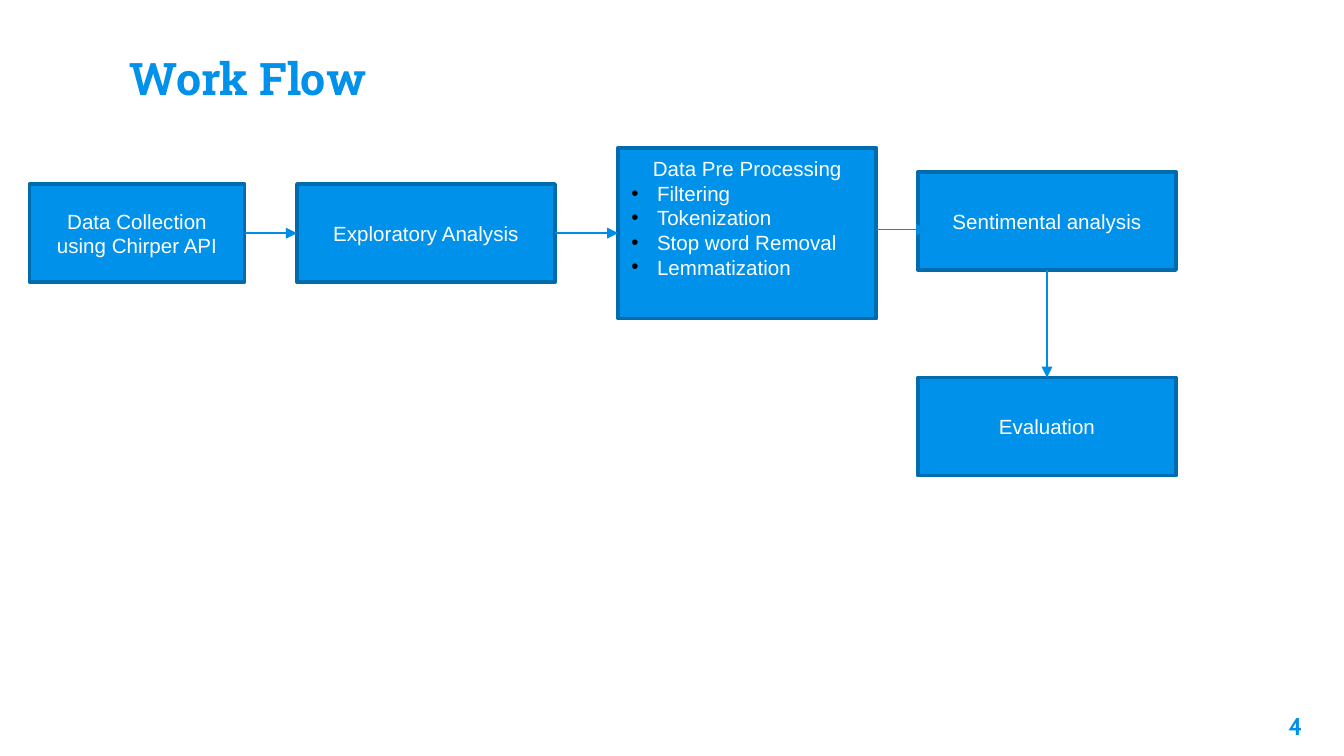
"""Build the work flow slide."""
import pptx
import pptx.dml.color
import pptx.enum.shapes
import pptx.enum.text
import pptx.oxml.ns
import pptx.util
from lxml import etree

Inches, Pt = pptx.util.Inches, pptx.util.Pt
ALIGN = pptx.enum.text.PP_ALIGN
ANCHOR = pptx.enum.text.MSO_ANCHOR
qn = pptx.oxml.ns.qn

COLORS = {"blue": "0091EA", "edge": "006BAD", "arrow": "008EE5",
          "white": "FFFFFF", "dot": "000000"}
TITLE = "Work Flow"
NUMBER = "4"
STEPS = [
    ("Data Collection using Chirper API", [], (0.22, 1.37, 1.6, 0.73)),
    ("Exploratory Analysis", [], (2.21, 1.37, 1.92, 0.73)),
    ("Data Pre Processing",
     ["Filtering", "Tokenization", "Stop word Removal", "Lemmatization"],
     (4.6, 1.1, 1.92, 1.27)),
    ("Sentimental analysis", [], (6.83, 1.28, 1.92, 0.73)),
    ("Evaluation", [], (6.83, 2.81, 1.92, 0.73)),
]
JOINS = [(0, 3, 1, 1), (1, 3, 2, 1), (3, 2, 4, 0)]
LOOSE = (6.52, 1.71, 6.9, 1.71)


def rgb(name):
    return pptx.dml.color.RGBColor.from_string(COLORS[name])


def style(para, face, size, color, align, bold=False):
    para.alignment = align
    font = para.font
    font.name, font.size, font.bold = face, Pt(size), bold
    font.color.rgb = rgb(color)


def place(shape, box):
    shape.left, shape.top, shape.width, shape.height = map(Inches, box)


def pad(frame, anchor):
    frame.word_wrap = True
    frame.auto_size = pptx.enum.text.MSO_AUTO_SIZE.NONE
    frame.vertical_anchor = anchor
    frame.margin_left = frame.margin_right = Inches(0.1)
    frame.margin_top = frame.margin_bottom = Inches(0.1)


def bullet(para):
    props = para._p.get_or_add_pPr()
    props.set("marL", str(Inches(0.19)))
    props.set("indent", str(-Inches(0.19)))
    tint = etree.SubElement(props, qn("a:buClr"))
    etree.SubElement(tint, qn("a:srgbClr"), val=COLORS["dot"])
    etree.SubElement(props, qn("a:buFont"), typeface="Arial")
    etree.SubElement(props, qn("a:buChar"), char="•")


def add_step(slide, head, items, box):
    rect = slide.shapes.add_shape(
        pptx.enum.shapes.MSO_SHAPE.RECTANGLE, *map(Inches, box))
    rect.shadow.inherit = False
    rect.fill.solid()
    rect.fill.fore_color.rgb = rgb("blue")
    rect.line.color.rgb = rgb("edge")
    rect.line.width = Pt(2)
    frame = rect.text_frame
    frame.word_wrap = True
    frame.vertical_anchor = ANCHOR.MIDDLE
    if items:
        frame.margin_bottom = Inches(0.28)
    para = frame.paragraphs[0]
    para.text = head
    style(para, "Arial", 11, "white", ALIGN.CENTER)
    for item in items:
        para = frame.add_paragraph()
        para.text = item
        bullet(para)
        style(para, "Arial", 11, "white", ALIGN.LEFT)
    return rect


def add_arrow(slide, ends):
    arrow = slide.shapes.add_connector(
        pptx.enum.shapes.MSO_CONNECTOR.STRAIGHT, *map(Inches, ends))
    arrow.line.color.rgb = rgb("arrow")
    arrow.line.width = Pt(0.75)
    etree.SubElement(arrow.line._get_or_add_ln(), qn("a:tailEnd"),
                     type="triangle")
    etree.SubElement(arrow._element.spPr, qn("a:effectLst"))
    return arrow


def main():
    deck = pptx.Presentation()
    deck.slide_width = Inches(10)
    deck.slide_height = deck.slide_width * 9 // 16
    slide = deck.slides.add_slide(deck.slide_layouts[5])

    title = slide.shapes.title
    place(title, (0.86, 0.11, 8.28, 0.77))
    pad(title.text_frame, ANCHOR.BOTTOM)
    title.text_frame.text = TITLE
    style(title.text_frame.paragraphs[0], "Roboto Slab", 24, "blue",
          ALIGN.LEFT, True)

    num = slide.shapes.add_textbox(*map(Inches, (9.19, 5.19, 0.6, 0.43)))
    pad(num.text_frame, ANCHOR.TOP)
    num.text_frame.text = NUMBER
    style(num.text_frame.paragraphs[0], "Cabin", 13, "blue",
          ALIGN.RIGHT, True)

    rects = [add_step(slide, *step) for step in STEPS]
    for start, out, end, into in JOINS:
        arrow = add_arrow(slide, (0, 0, 0, 0))
        arrow.begin_connect(rects[start], out)
        arrow.end_connect(rects[end], into)
    add_arrow(slide, LOOSE)
    deck.save("out.pptx")


if __name__ == "__main__":
    main()
